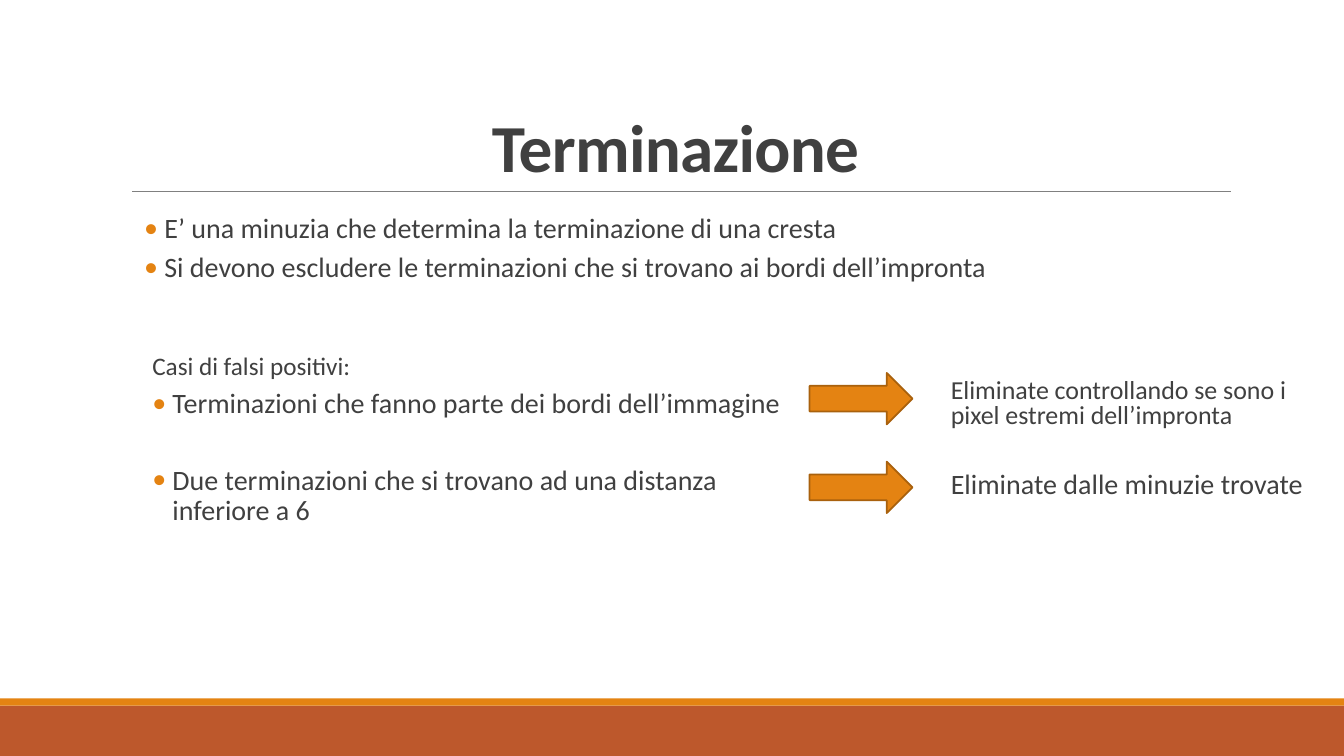
from lxml import etree
from pptx import Presentation
from pptx.dml.color import RGBColor
from pptx.enum.shapes import MSO_CONNECTOR, MSO_SHAPE
from pptx.enum.text import MSO_ANCHOR, MSO_AUTO_SIZE, PP_ALIGN
from pptx.oxml.ns import qn
from pptx.util import Inches, Pt

RECT = MSO_SHAPE.RECTANGLE
RIGHT_ARROW = MSO_SHAPE.RIGHT_ARROW
STRAIGHT = MSO_CONNECTOR.STRAIGHT
TOP, BOTTOM = MSO_ANCHOR.TOP, MSO_ANCHOR.BOTTOM
NO_AUTOFIT = MSO_AUTO_SIZE.NONE
CENTER, LEFT = PP_ALIGN.CENTER, PP_ALIGN.LEFT
FONT = "Calibri"
ORANGE, RUST, BROWN = "E48312", "BD582C", "A9610D"
TEXT, GRAY = "404040", "808080"


def rgb(value):
    return RGBColor.from_string(value)


def place(shape, x, y, w, h):
    shape.left, shape.top = Inches(x), Inches(y)
    shape.width, shape.height = Inches(w), Inches(h)


def add_block(s, kind, x, y, w, h, fill, line=None):
    sp = s.shapes.add_shape(kind, Inches(x), Inches(y), Inches(w), Inches(h))
    sp.shadow.inherit = False
    sp.fill.solid()
    sp.fill.fore_color.rgb = rgb(fill)
    if line:
        sp.line.color.rgb = rgb(line)
        sp.line.width = Pt(1.25)
    else:
        sp.line.fill.background()


def add_rule(s, x1, x2, y):
    rule = s.shapes.add_connector(STRAIGHT, Inches(x1), Inches(y), Inches(x2), Inches(y))
    rule.line.color.rgb = rgb(GRAY)
    rule.line.width = Pt(0.5)
    etree.SubElement(rule._element.spPr, qn("a:effectLst"))


def format_runs(p, size, bold=False):
    for r in p.runs:
        r.font.name = FONT
        r.font.size = Pt(size)
        r.font.bold = bold
        r.font.color.rgb = rgb(TEXT)


def set_frame(tf, top=0.05):
    tf.word_wrap = True
    tf.auto_size = NO_AUTOFIT
    tf.vertical_anchor = TOP
    tf.margin_left = tf.margin_right = 0
    tf.margin_top, tf.margin_bottom = Inches(top), Inches(0.05)


def set_bullet(p, bulleted):
    pPr = p._p.get_or_add_pPr()
    pPr.set("marL", str(Inches(0.42 if bulleted else 0.22)))
    pPr.set("indent", str(Inches(-0.2 if bulleted else 0)))
    if bulleted:
        color = etree.SubElement(pPr, qn("a:buClr"))
        etree.SubElement(color, qn("a:srgbClr"), val=ORANGE)
        etree.SubElement(pPr, qn("a:buFont"), typeface=FONT)
        etree.SubElement(pPr, qn("a:buChar"), char="•")
    else:
        etree.SubElement(pPr, qn("a:buNone"))


def fill_title(title, text):
    place(title, 1.2, 0.31, 11, 1.59)
    tf = title.text_frame
    tf.auto_size = NO_AUTOFIT
    tf.vertical_anchor = BOTTOM
    tf.text = text
    p = tf.paragraphs[0]
    p.alignment = CENTER
    p.line_spacing = 0.85
    format_runs(p, 48, bold=True)
    p.runs[0].font._element.set("spc", "-50")


def fill_list(body, box, items):
    place(body, *box)
    tf = body.text_frame
    set_frame(tf)
    for i, (text, size, bulleted, before) in enumerate(items):
        p = tf.add_paragraph() if i else tf.paragraphs[0]
        p.text = text
        p.level = 1
        p.alignment = LEFT
        p.line_spacing = 0.9
        p.space_before, p.space_after = Pt(before), Pt(4)
        set_bullet(p, bulleted)
        format_runs(p, size)


def add_remedy(s, y, text, size, spacing):
    box = s.shapes.add_textbox(Inches(9.43), Inches(y), Inches(3.69), Inches(1.08))
    tf = box.text_frame
    set_frame(tf, top=0.56)
    tf.text = text
    p = tf.paragraphs[0]
    p.line_spacing = spacing
    format_runs(p, size)


def main():
    prs = Presentation()
    prs.slide_width, prs.slide_height = Inches(13.33), Inches(7.5)
    s = prs.slides.add_slide(prs.slide_layouts[3])
    title, cases, definition = s.placeholders

    add_block(s, RECT, 0, 7, 13.33, 0.5, RUST)
    add_block(s, RECT, 0, 6.93, 13.33, 0.07, ORANGE)
    add_rule(s, 1.31, 12.21, 1.9)

    fill_title(title, "Terminazione")
    fill_list(cases, (1.29, 3.46, 6.74, 2.01), [
        ("Casi di falsi positivi:", 18, False, 2),
        ("Terminazioni che fanno parte dei bordi dell’immagine", 20, True, 2),
        ("Due terminazioni che si trovano ad una distanza inferiore a 6", 20, True, 29),
    ])
    fill_list(definition, (1.21, 2.08, 10.91, 4.4), [
        ("E’ una minuzia che determina la terminazione di una cresta", 20, True, 2),
        ("Si devono escludere le terminazioni che si trovano ai bordi dell’impronta", 20, True, 2),
    ])

    for y in (3.7, 4.58):
        add_block(s, RIGHT_ARROW, 8.03, y, 1.02, 0.51, ORANGE, BROWN)
    add_remedy(s, 4.11, "Eliminate dalle minuzie trovate", 20, 0.9)
    add_remedy(s, 3.21, "Eliminate controllando se sono i pixel estremi dell’impronta", 18.5, 0.8)

    prs.save("out.pptx")


if __name__ == "__main__":
    main()
